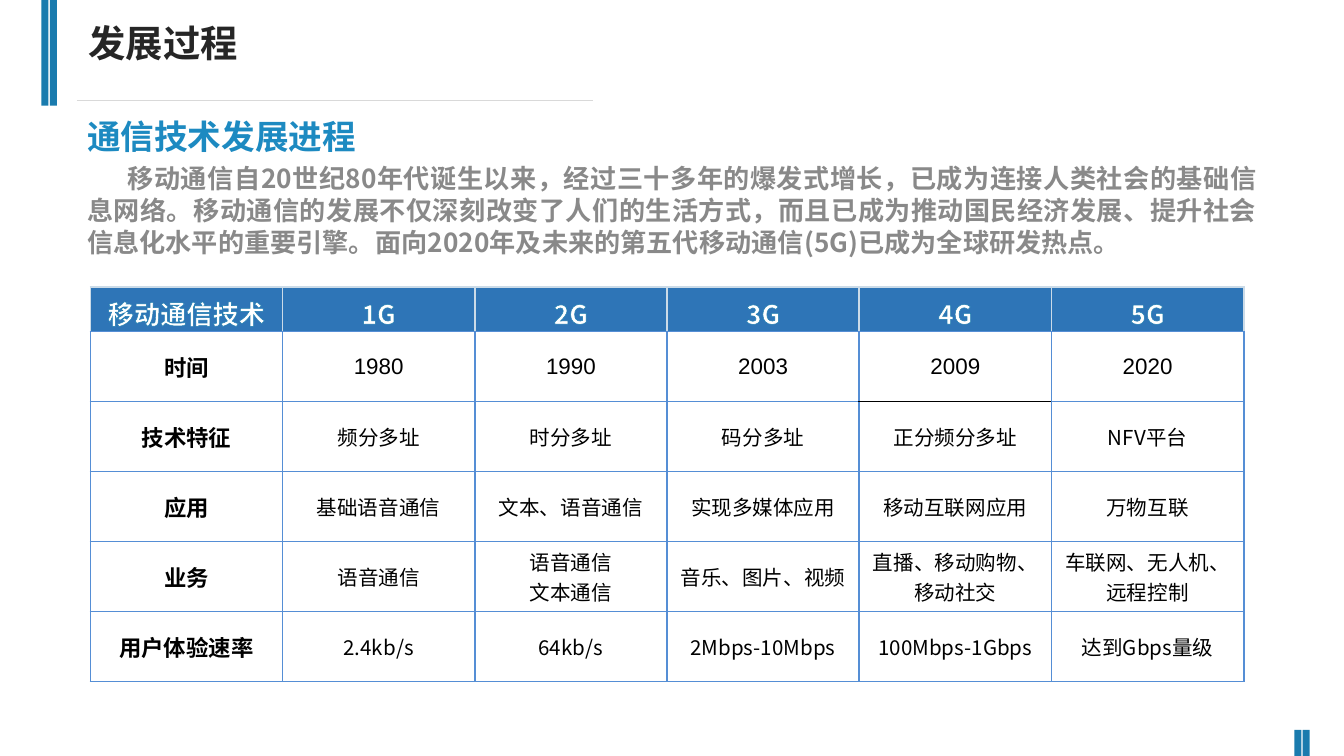
from dataclasses import dataclass

from lxml import etree
from pptx import Presentation
from pptx.dml.color import RGBColor
from pptx.enum.shapes import MSO_CONNECTOR, MSO_SHAPE
from pptx.enum.text import MSO_ANCHOR, PP_ALIGN
from pptx.oxml.ns import qn
from pptx.util import Pt

STRAIGHT = MSO_CONNECTOR.STRAIGHT
RECTANGLE = MSO_SHAPE.RECTANGLE
TOP, MIDDLE = MSO_ANCHOR.TOP, MSO_ANCHOR.MIDDLE
LEFT, CENTER, JUSTIFY = PP_ALIGN.LEFT, PP_ALIGN.CENTER, PP_ALIGN.JUSTIFY


@dataclass(frozen=True)
class Theme:
    bar: str = "1A7BAE"
    rule: str = "D9D9D9"
    title: str = "262626"
    heading: str = "1D8AC1"
    body: str = "898989"
    header_fill: str = "2E75B7"
    header_border: str = "CBDBE8"
    border: str = "558ED5"
    black: str = "000000"
    white: str = "FFFFFF"
    cjk: str = "Noto Sans CJK SC"
    latin: str = "Arial"
    display: str = "Roboto Condensed"
    title_size: float = 20
    heading_size: float = 18
    body_size: float = 14
    label_size: float = 12
    cell_size: float = 11


THEME = Theme()


@dataclass(frozen=True)
class TextStyle:
    size: float
    font: str
    color: str
    bold: bool = True
    outline: str = ""


@dataclass(frozen=True)
class Bar:
    left: float
    top: float
    height: float


TITLE = TextStyle(THEME.title_size, THEME.display, THEME.title)
HEADING = TextStyle(THEME.heading_size, THEME.cjk, THEME.heading)
BODY = TextStyle(THEME.body_size, THEME.cjk, THEME.body)
HEADER = TextStyle(THEME.body_size, THEME.cjk, THEME.white, outline=THEME.bar)
LABEL = TextStyle(THEME.label_size, THEME.latin, THEME.black)
YEAR = TextStyle(THEME.label_size, THEME.latin, THEME.black, bold=False)
CELL = TextStyle(THEME.cell_size, THEME.cjk, THEME.black, bold=False)

BARS = [Bar(22.2, 0, 56.7), Bar(26.8, 0, 56.7),
        Bar(693.4, 391, 14), Bar(697.9, 391, 14)]

INTRODUCTION = (
    "移动通信自20世纪80年代诞生以来，经过三十多年的爆发式增长，已成为连接人类社会的基础信息网络。"
    "移动通信的发展不仅深刻改变了人们的生活方式，而且已成为推动国民经济发展、提升社会信息化水平的重要引擎。"
    "面向2020年及未来的第五代移动通信(5G)已成为全球研发热点。"
)

GENERATIONS = [
    ["移动通信技术", "1G", "2G", "3G", "4G", "5G"],
    ["时间", "1980", "1990", "2003", "2009", "2020"],
    ["技术特征", "频分多址", "时分多址", "码分多址", "正分频分多址", "NFV平台"],
    ["应用", "基础语音通信", "文本、语音通信", "实现多媒体应用", "移动互联网应用", "万物互联"],
    ["业务", "语音通信", "语音通信\n文本通信", "音乐、图片、视频",
     "直播、移动购物、移动社交", "车联网、无人机、远程控制"],
    ["用户体验速率", "2.4kb/s", "64kb/s", "2Mbps-10Mbps", "100Mbps-1Gbps", "达到Gbps量级"],
]

TABLE_LEFT, TABLE_TOP = 48.4, 153.7
COLUMN_WIDTH, HEADER_HEIGHT, ROW_HEIGHT = 103, 24, 37.5
YEAR_ROW, MARKED_COLUMN = 1, 4


def apply(target, values: dict) -> None:
    for name, value in values.items():
        setattr(target, name, value)


def add_solid_fill(parent, color: str) -> None:
    fill = etree.SubElement(parent, qn("a:solidFill"))
    etree.SubElement(fill, qn("a:srgbClr"), val=color)


def write(para, text: str, style: TextStyle, layout: dict) -> None:
    apply(para, layout)
    span = para.add_run()
    span.text = text
    apply(span.font, {"size": Pt(style.size), "name": style.font, "bold": style.bold})
    span.font.color.rgb = RGBColor.from_string(style.color)
    properties = span.font._element
    east_asian = etree.Element(qn("a:ea"), typeface=THEME.cjk)
    properties.find(qn("a:latin")).addnext(east_asian)
    if style.outline:
        line = etree.Element(qn("a:ln"), w=str(Pt(0.75)))
        add_solid_fill(line, style.outline)
        properties.insert(0, line)


def add_text_box(page, left: float, top: float, width: float, height: float):
    box = page.shapes.add_textbox(Pt(left), Pt(top), Pt(width), Pt(height))
    box.text_frame.word_wrap = True
    return box.text_frame


def add_bar(page, bar: Bar) -> None:
    shape = page.shapes.add_shape(RECTANGLE, Pt(bar.left), Pt(bar.top), Pt(3.8), Pt(bar.height))
    shape.shadow.inherit = False
    shape.fill.solid()
    shape.fill.fore_color.rgb = RGBColor.from_string(THEME.bar)
    shape.line.fill.background()


def add_rule(page) -> None:
    rule = page.shapes.add_connector(STRAIGHT, Pt(41.2), Pt(53.7), Pt(317.5), Pt(53.7))
    rule.line.width = Pt(0.75)
    rule.line.color.rgb = RGBColor.from_string(THEME.rule)
    etree.SubElement(rule._element.spPr, qn("a:effectLst"))


def border_colors(row: int, column: int) -> dict[str, str]:
    colors = dict.fromkeys(("lnL", "lnR", "lnT", "lnB"), THEME.border)
    if row == 0:
        colors.update(lnL=THEME.header_border, lnR=THEME.header_border, lnT=THEME.header_border)
    if column == MARKED_COLUMN and row == YEAR_ROW:
        colors["lnB"] = THEME.black
    if column == MARKED_COLUMN and row == YEAR_ROW + 1:
        colors["lnT"] = THEME.black
    return colors


def set_borders(cell, colors: dict[str, str]) -> None:
    properties = cell._tc.get_or_add_tcPr()
    for position, (side, color) in enumerate(colors.items()):
        line = etree.Element(qn(f"a:{side}"), w=str(Pt(1)))
        add_solid_fill(line, color)
        properties.insert(position, line)


def cell_style(row: int, column: int) -> TextStyle:
    if row == 0:
        return HEADER
    if column == 0:
        return LABEL
    return YEAR if row == YEAR_ROW else CELL


def add_generation_table(page) -> None:
    rows, columns = len(GENERATIONS), len(GENERATIONS[0])
    height = HEADER_HEIGHT + ROW_HEIGHT * (rows - 1)
    table = page.shapes.add_table(rows, columns, Pt(TABLE_LEFT), Pt(TABLE_TOP),
                                  Pt(COLUMN_WIDTH * columns), Pt(height)).table
    for column in table.columns:
        column.width = Pt(COLUMN_WIDTH)
    for index, row in enumerate(table.rows):
        row.height = Pt(ROW_HEIGHT if index else HEADER_HEIGHT)
    for row, texts in enumerate(GENERATIONS):
        for column, text in enumerate(texts):
            cell = table.cell(row, column)
            apply(cell, {"margin_top": Pt(0 if row else 3.6), "margin_bottom": Pt(0),
                         "vertical_anchor": MIDDLE if row else TOP})
            cell.fill.solid()
            cell.fill.fore_color.rgb = RGBColor.from_string(
                THEME.white if row else THEME.header_fill)
            set_borders(cell, border_colors(row, column))
            frame = cell.text_frame
            for index, line in enumerate(text.split("\n")):
                para = frame.add_paragraph() if index else frame.paragraphs[0]
                write(para, line, cell_style(row, column), {"alignment": CENTER})


def main() -> None:
    deck = Presentation()
    apply(deck, {"slide_width": Pt(720), "slide_height": Pt(405)})
    page = deck.slides.add_slide(deck.slide_layouts[6])
    add_rule(page)
    title = add_text_box(page, 40.3, 7.2, 304.6, 31.7)
    write(title.paragraphs[0], "发展过程", TITLE, {"alignment": LEFT})
    introduction = add_text_box(page, 39.6, 61.2, 641, 85)
    write(introduction.paragraphs[0], "通信技术发展进程", HEADING,
          {"alignment": LEFT, "line_spacing": 0.9})
    body = introduction.add_paragraph()
    write(body, INTRODUCTION, BODY,
          {"alignment": JUSTIFY, "line_spacing": Pt(17.1), "space_before": Pt(2.7)})
    body._p.get_or_add_pPr().set("indent", str(Pt(21.6)))
    add_generation_table(page)
    for bar in BARS:
        add_bar(page, bar)
    deck.save("out.pptx")


if __name__ == "__main__":
    main()
